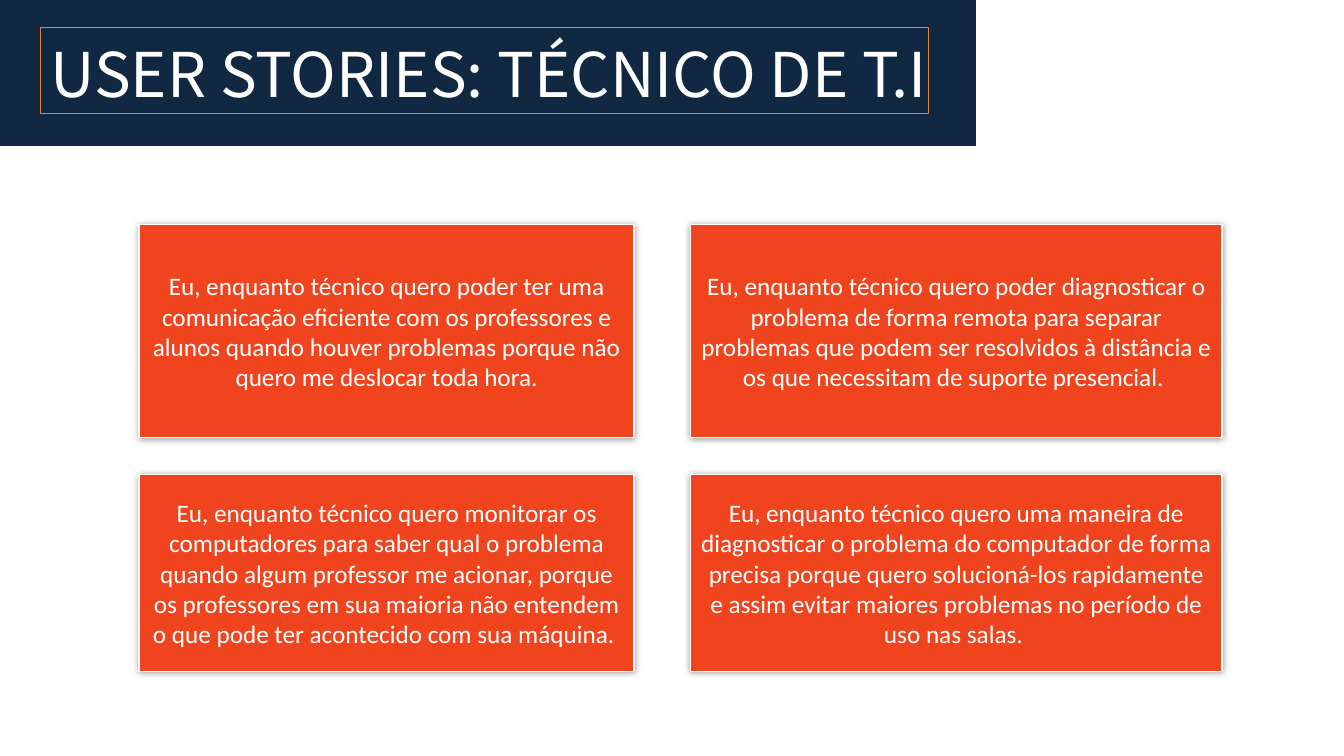
import pptx
import pptx.util
import pptx.dml.color
import pptx.enum.shapes
import pptx.enum.text
import pptx.oxml
import pptx.oxml.ns

PX = 9144
COLORS = {"navy": "102842", "orange": "ED7D31", "card": "EF441D", "white": "FFFFFF", "shadow": "000000"}

COLUMNS = [(138, 491), (685, 527)]
ROWS = [(223, 211), (471, 195)]
STORIES = [
    [
        "Eu, enquanto técnico quero poder ter uma comunicação eficiente com os professores e alunos quando houver problemas porque não quero me deslocar toda hora.",
        "Eu, enquanto técnico quero poder diagnosticar o problema de forma remota para separar problemas que podem ser resolvidos à distância e os que necessitam de suporte presencial. ",
    ],
    [
        "Eu, enquanto técnico quero monitorar os computadores para saber qual o problema quando algum professor me acionar, porque os professores em sua maioria não entendem o que pode ter acontecido com sua máquina. ",
        "Eu, enquanto técnico quero uma maneira de diagnosticar o problema do computador de forma precisa porque quero solucioná-los rapidamente e assim evitar maiores problemas no período de uso nas salas. ",
    ],
]


def px(n):
    return pptx.util.Emu(n * PX)


def rgb(name):
    return pptx.dml.color.RGBColor.from_string(COLORS[name])


def add_rect(slide, left, top, width, height, fill=None, line="white", weight=1):
    sp = slide.shapes.add_shape(
        pptx.enum.shapes.MSO_SHAPE.RECTANGLE, px(left), px(top), px(width), px(height))
    sp.shadow.inherit = False
    if fill:
        sp.fill.solid()
        sp.fill.fore_color.rgb = rgb(fill)
    else:
        sp.fill.background()
    sp.line.color.rgb = rgb(line)
    sp.line.width = pptx.util.Pt(weight)
    return sp


def add_glow_shadow(sp, blur=5, alpha=40):
    effects = sp.element.spPr.find(pptx.oxml.ns.qn("a:effectLst"))
    effects.append(pptx.oxml.parse_xml(
        f'<a:outerShdw {pptx.oxml.ns.nsdecls("a")} blurRad="{pptx.util.Pt(blur)}" dist="0" '
        f'algn="ctr" rotWithShape="0"><a:srgbClr val="{COLORS["shadow"]}">'
        f'<a:alpha val="{alpha * 1000}"/></a:srgbClr></a:outerShdw>'))


def write_text(sp, text, size=18, font="Calibri", color="white", align="CENTER", spacing=None):
    tf = sp.text_frame
    tf.word_wrap = True
    tf.auto_size = pptx.enum.text.MSO_AUTO_SIZE.NONE
    tf.vertical_anchor = pptx.enum.text.MSO_ANCHOR.MIDDLE
    p = tf.paragraphs[0]
    p.alignment = getattr(pptx.enum.text.PP_ALIGN, align)
    if spacing:
        p.line_spacing = spacing
    r = p.add_run()
    r.text = text
    r.font.size = pptx.util.Pt(size)
    r.font.name = font
    r.font.color.rgb = rgb(color)


def place_title(slide, text, left, top, width, height):
    title = slide.shapes.title
    title.left, title.top, title.width, title.height = map(px, (left, top, width, height))
    write_text(title, text, size=44, font="Noto Sans CJK KR", align="LEFT", spacing=0.9)
    title.element.getparent().append(title.element)


def add_story(slide, text, left, top, width, height):
    sp = add_rect(slide, left, top, width, height, fill="card")
    add_glow_shadow(sp)
    write_text(sp, text)


def main():
    prs = pptx.Presentation()
    prs.slide_width, prs.slide_height = px(1333), px(750)
    slide = prs.slides.add_slide(prs.slide_layouts[5])
    add_rect(slide, -6, -3, 975, 149, fill="navy")
    add_rect(slide, 40, 27, 881, 86, line="orange", weight=0.75)
    place_title(slide, "USER STORIES: TÉCNICO DE T.I", 40, -3, 906, 159)
    for (top, height), row in zip(ROWS, STORIES):
        for (left, width), text in zip(COLUMNS, row):
            add_story(slide, text, left, top, width, height)
    prs.save("out.pptx")


if __name__ == "__main__":
    main()
